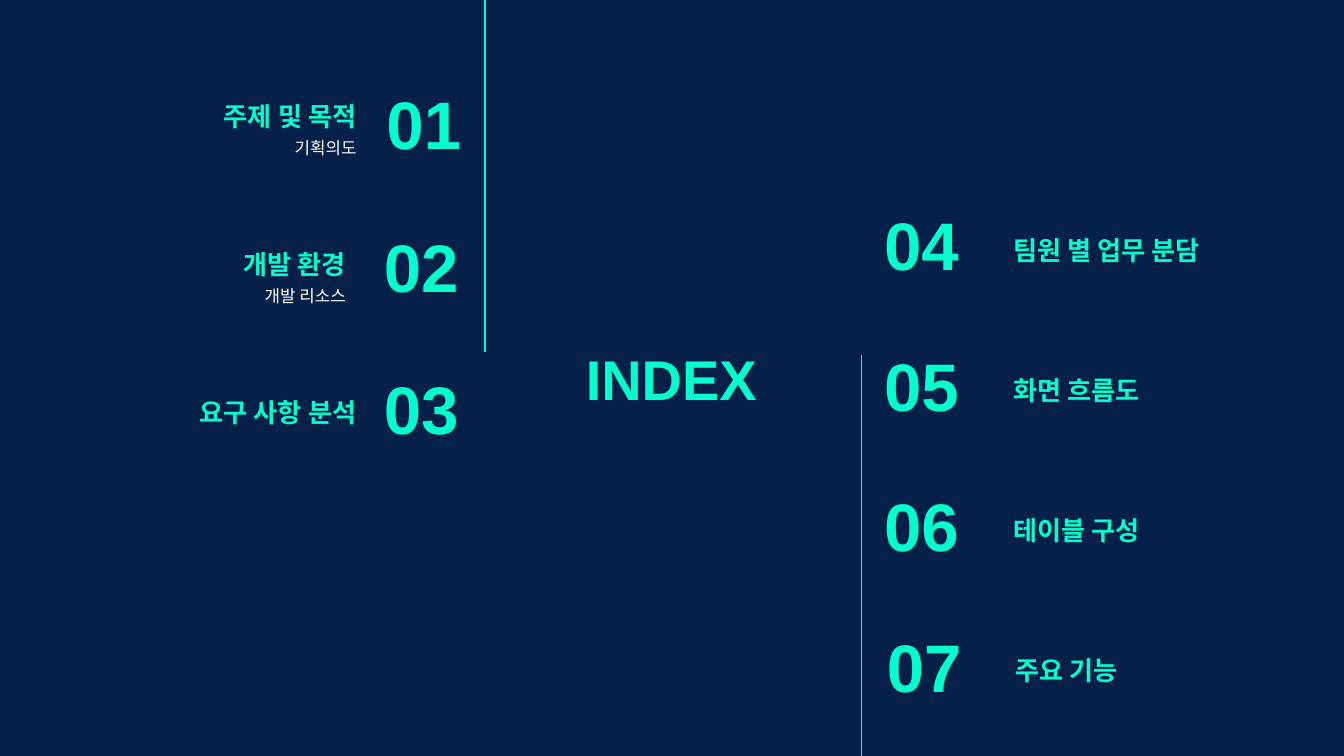
from dataclasses import dataclass

from lxml.etree import SubElement
from pptx import Presentation
from pptx.dml.color import RGBColor
from pptx.enum.shapes import MSO_CONNECTOR as Connector
from pptx.enum.text import MSO_ANCHOR as Anchor, PP_ALIGN as Align
from pptx.oxml.ns import qn
from pptx.slide import Slide
from pptx.util import Inches, Pt

COLORS = {"navy": "05214A", "mint": "00FFCD", "white": "FFFFFF"}
CELL = 0.1
COLUMNS, ROWS = 100, 56.25
LINE_HEIGHT = 6.3


@dataclass(frozen=True)
class Style:
    size: int
    anchor: Anchor
    font: str = "Arial"
    color: str = "mint"
    bold: bool = True


@dataclass(frozen=True)
class Entry:
    number: str
    title: str
    subtitle: str = ""
    number_shift: float = 0
    title_shift: float = 0


@dataclass(frozen=True)
class Side:
    align: Align
    number_column: float
    number_width: float
    number_row: float
    number_step: float
    title_column: float
    title_row: float
    title_step: float
    entries: tuple[Entry, ...]


HEADING = Style(30, Anchor.MIDDLE)
NUMBER = Style(36, Anchor.MIDDLE)
TITLE = Style(14, Anchor.BOTTOM)
SUBTITLE = Style(9, Anchor.TOP, "Roboto Condensed", "white", False)
TITLE_WIDTH, SUBTITLE_WIDTH, SUBTITLE_DROP = 21.6, 18.3, 5

SIDES = (
    Side(Align.RIGHT, 23, 12.1, 6, 10.6, 5.9, 4.5, 11, (
        Entry("01", "주제 및 목적", "기획의도", number_shift=0.2),
        Entry("02", "개발 환경", "개발 리소스", title_shift=-0.8),
        Entry("03", "요구 사항 분석"),
    )),
    Side(Align.LEFT, 64.8, 11.7, 15, 10.45, 74.4, 14.5, 10.4, (
        Entry("04", "팀원 별 업무 분담"),
        Entry("05", "화면 흐름도"),
        Entry("06", "테이블 구성"),
        Entry("07", "주요 기능", number_shift=0.2, title_shift=0.2),
    )),
)


def cells(count: float) -> int:
    return Inches(count * CELL)


def color(name: str) -> RGBColor:
    return RGBColor.from_string(COLORS[name])


def add_text(page: Slide, text: str, style: Style, align: Align, column: float,
             row: float, width: float, height: float = LINE_HEIGHT) -> None:
    box = page.shapes.add_textbox(*map(cells, (column, row, width, height)))
    frame = box.text_frame
    frame.text = text
    frame.word_wrap = True
    frame.vertical_anchor = style.anchor
    frame.margin_left = frame.margin_right = cells(1)
    frame.margin_top = frame.margin_bottom = cells(1)
    para = frame.paragraphs[0]
    para.alignment = align
    font = para.runs[0].font
    font.name, font.size, font.bold = style.font, Pt(style.size), style.bold
    font.color.rgb = color(style.color)


def add_divider(page: Slide, column: float, top: float, bottom: float) -> None:
    divider = page.shapes.add_connector(
        Connector.STRAIGHT, *map(cells, (column, top, column, bottom)))
    divider.line.color.rgb = color("mint")
    divider.line.width = Pt(0.75)
    SubElement(divider._element.spPr, qn("a:effectLst"))


def add_side(page: Slide, side: Side) -> None:
    for index, entry in enumerate(side.entries):
        add_text(page, entry.number, NUMBER, side.align,
                 side.number_column + entry.number_shift,
                 side.number_row + index * side.number_step, side.number_width)
        column = side.title_column + entry.title_shift
        row = side.title_row + index * side.title_step
        add_text(page, entry.title, TITLE, side.align, column, row, TITLE_WIDTH)
        if entry.subtitle:
            add_text(page, entry.subtitle, SUBTITLE, side.align,
                     column + TITLE_WIDTH - SUBTITLE_WIDTH,
                     row + SUBTITLE_DROP, SUBTITLE_WIDTH)


def main() -> None:
    deck = Presentation()
    deck.slide_width, deck.slide_height = cells(COLUMNS), cells(ROWS)
    page = deck.slides.add_slide(deck.slide_layouts[6])
    page.background.fill.solid()
    page.background.fill.fore_color.rgb = color("navy")
    add_text(page, "INDEX", HEADING, Align.CENTER, 37, 23, 25.9, 10.3)
    add_divider(page, 36.1, 0, 26.2)
    add_divider(page, 64.1, 26.4, ROWS)
    for side in SIDES:
        add_side(page, side)
    deck.save("out.pptx")


if __name__ == "__main__":
    main()
